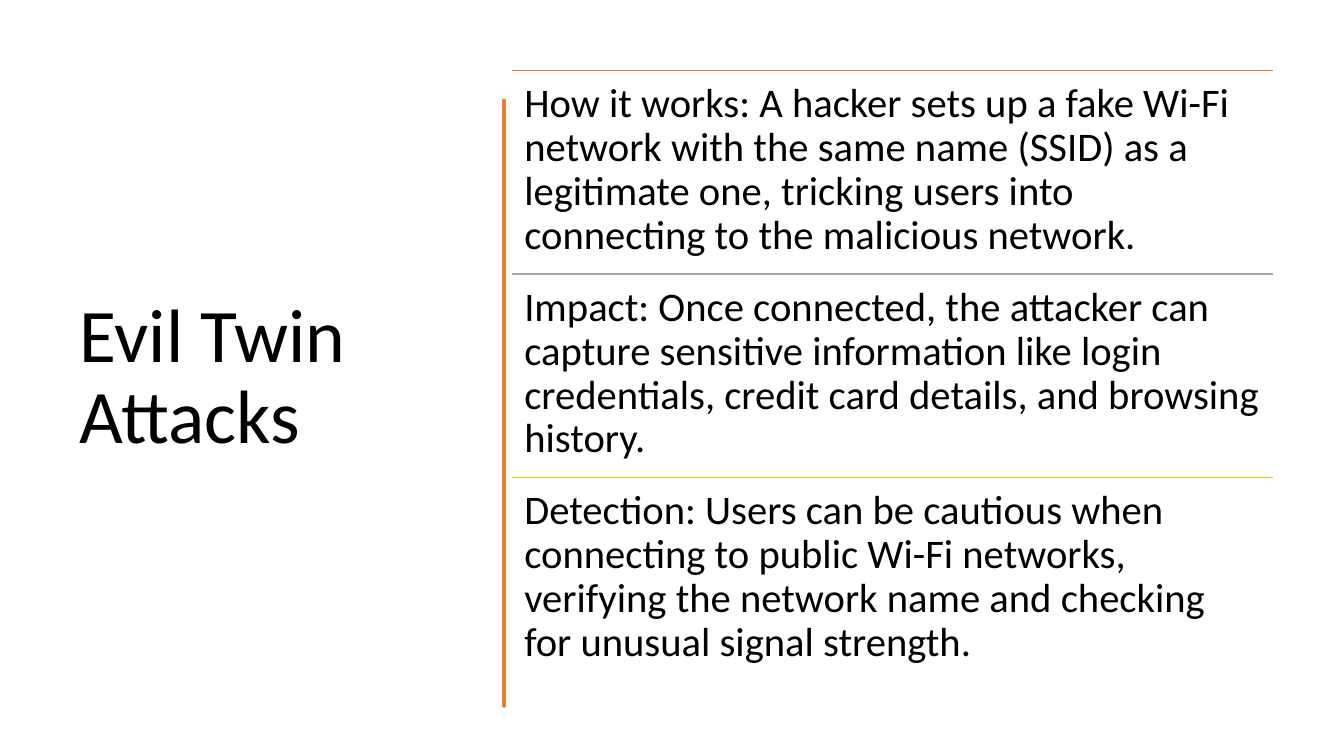
from math import pi, sin

from lxml.etree import SubElement
from pptx import Presentation
from pptx.dml.color import RGBColor as Color
from pptx.enum.shapes import MSO_CONNECTOR as Connector
from pptx.enum.text import MSO_ANCHOR as Anchor
from pptx.oxml.ns import qn
from pptx.util import Inches, Pt

COLORS = {
    "text": "000000",
    "orange": "ED7D31",
    "gray": "A5A5A5",
    "gold": "FFC000",
}
WIDTH, HEIGHT = 13.33, 7.5
TOP, ROW_HEIGHT = 0.7, 2.02
COLUMN_LEFT, COLUMN_WIDTH = 5.08, 7.55
TITLE_BOX = (0.69, TOP, 3.74, 6.11)
ROWS = [
    ("orange", "How it works: A hacker sets up a fake Wi-Fi network with the same name (SSID) "
               "as a legitimate one, tricking users into connecting to the malicious network."),
    ("gray", "Impact: Once connected, the attacker can capture sensitive information like login "
             "credentials, credit card details, and browsing history."),
    ("gold", "Detection: Users can be cautious when connecting to public Wi-Fi networks, "
             "verifying the network name and checking for unusual signal strength."),
]
RIGHT_EDGE = (4.75, 0.84, [
    (1.46, 0.02), (2.26, -0.01), (2.94, -0.01), (3.56, 0.01),
    (4.36, 0.01), (5.1, -0.03), (5.84, 0.01), (6.76, -0.01),
])
LEFT_EDGE = (4.73, 6.76, [
    (6.13, -0.01), (5.57, 0.01), (4.77, -0.01), (4.15, -0.01),
    (3.35, 0), (2.5, 0), (1.81, 0.01), (0.84, 0.01),
])
CURVE_STEPS = 8


def rgb(name):
    return Color.from_string(COLORS[name])


def add_text(page, area, text, size, inset, anchor):
    box = page.shapes.add_textbox(*map(Inches, area))
    frame = box.text_frame
    margins = {f"margin_{side}": Inches(inset) for side in ("left", "top", "right", "bottom")}
    for key, value in {"word_wrap": True, "vertical_anchor": anchor, **margins}.items():
        setattr(frame, key, value)
    para = frame.paragraphs[0]
    para.line_spacing = 0.9
    span = para.add_run()
    span.text = text
    for key, value in {"name": "Calibri", "size": Pt(size)}.items():
        setattr(span.font, key, value)
    span.font.color.rgb = rgb("text")


def add_rule(page, top, color):
    ends = (COLUMN_LEFT, top, COLUMN_LEFT + COLUMN_WIDTH, top)
    rule = page.shapes.add_connector(Connector.STRAIGHT, *map(Inches, ends))
    rule.line.color.rgb = rgb(color)
    rule.line.width = Pt(1)
    SubElement(rule._element.spPr, qn("a:effectLst"))


def wavy_edge(x, start, waves):
    points = [(x, start)]
    for end, bulge in waves:
        for step in range(1, CURVE_STEPS + 1):
            share = step / CURVE_STEPS
            points.append((x + bulge * sin(pi * share), start + (end - start) * share))
        start = end
    return points


def add_brush_stroke(page):
    points = wavy_edge(*RIGHT_EDGE) + wavy_edge(*LEFT_EDGE)
    builder = page.shapes.build_freeform(*points[0], scale=Inches(1))
    builder.add_line_segments(points[1:], close=True)
    stroke = builder.convert_to_shape()
    stroke.shadow.inherit = False
    stroke.fill.solid()
    stroke.fill.fore_color.rgb = rgb("orange")
    stroke.line.color.rgb = rgb("orange")
    stroke.line.width = Pt(3.25)


def main():
    deck = Presentation()
    deck.slide_width, deck.slide_height = Inches(WIDTH), Inches(HEIGHT)
    page = deck.slides.add_slide(deck.slide_layouts[6])
    add_text(page, TITLE_BOX, "Evil Twin Attacks", 54, 0.1, Anchor.MIDDLE)
    add_brush_stroke(page)
    for index, (color, text) in enumerate(ROWS):
        top = TOP + index * ROW_HEIGHT
        add_rule(page, top, color)
        add_text(page, (COLUMN_LEFT, top, COLUMN_WIDTH, ROW_HEIGHT), text, 29, 0.12, Anchor.TOP)
    deck.save("out.pptx")


if __name__ == "__main__":
    main()
